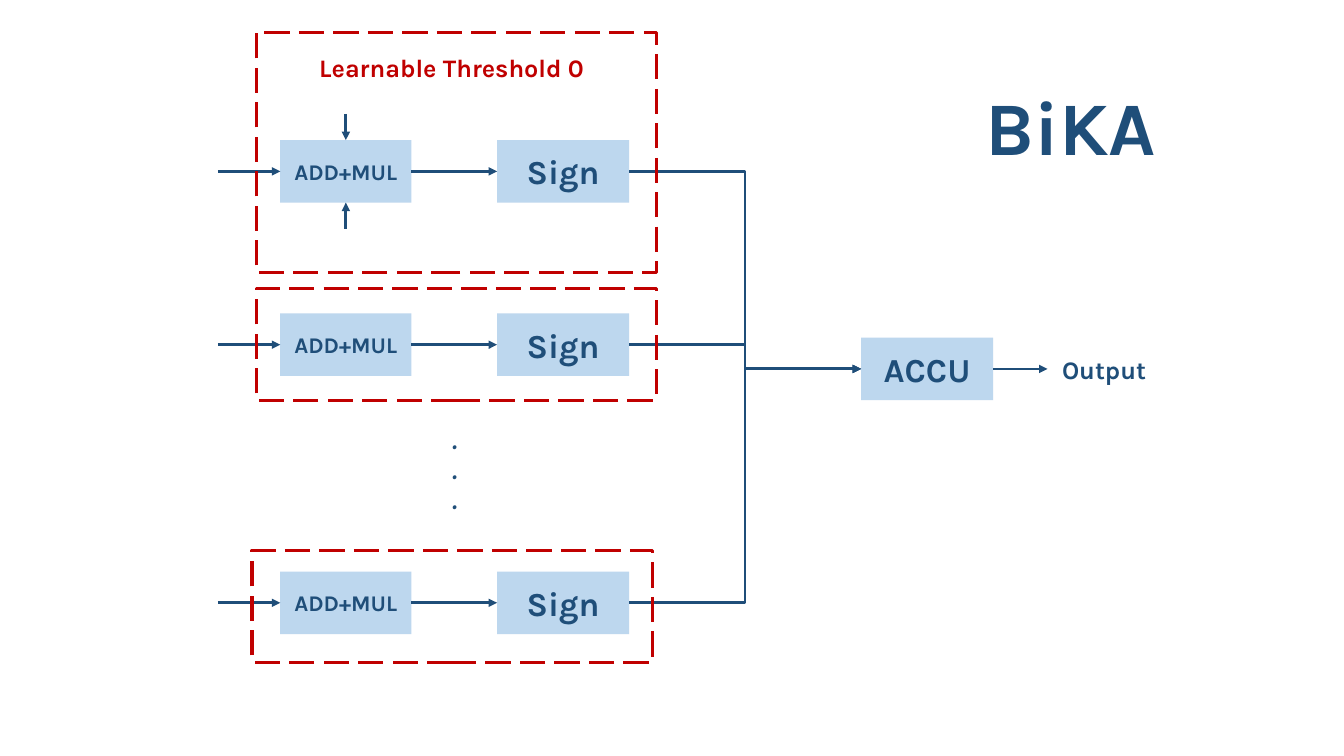
from lxml import etree
from pptx import Presentation
from pptx import util as u
from pptx.dml.color import RGBColor
from pptx.enum import dml, shapes, text
from pptx.oxml.ns import qn

EMU_PER_PX = 9144
NAVY, SKY, RED = "1F4E79", "BDD7EE", "C00000"
TOP, LEFT, BOTTOM, RIGHT = range(4)
NODE_HEIGHT = 62
ADD_LEFT, ADD_WIDTH = 278, 130
SIGN_LEFT, SIGN_WIDTH = 493, 131
LANE_TOPS = (139, 311, 567)
INPUT_LEFT = 216
FRAMES = ((254, 32, 397, 238), (254, 286, 397, 111), (250, 546, 397, 111))


def px(length):
    """Turn a length in px into EMU."""
    return u.Emu(length * EMU_PER_PX)


def color(value):
    """Turn a hex string into a colour."""
    return RGBColor.from_string(value)


def apply_format(target, values):
    """Set each named attribute on the target."""
    for name, value in values.items():
        setattr(target, name, value)


def write_text(shape, lines, size, ink=NAVY, italic=None):
    """Write centred bold lines into a shape."""
    frame = shape.text_frame
    apply_format(frame, {"word_wrap": True, "vertical_anchor": text.MSO_ANCHOR.MIDDLE})
    frame.text = "\n".join(lines)
    for paragraph in frame.paragraphs:
        paragraph.alignment = text.PP_ALIGN.CENTER
        font = paragraph.runs[0].font
        apply_format(font, {"name": "Karla", "size": u.Pt(size), "bold": True, "italic": italic})
        font.color.rgb = color(ink)


def add_label(slide, box, lines, size, **style):
    """Add a text box and return it."""
    shape = slide.shapes.add_textbox(*map(px, box))
    write_text(shape, lines, size, **style)
    return shape


def add_rectangle(slide, box):
    """Add a rectangle without a shadow."""
    shape = slide.shapes.add_shape(shapes.MSO_SHAPE.RECTANGLE, *map(px, box))
    shape.shadow.inherit = False
    return shape


def add_node(slide, left, top, width, label, size):
    """Add a filled block with its label."""
    shape = add_rectangle(slide, (left, top, width, NODE_HEIGHT))
    shape.fill.solid()
    shape.fill.fore_color.rgb = color(SKY)
    shape.line.fill.background()
    write_text(shape, [label], size)
    return shape


def add_frame(slide, box):
    """Add an unfilled red dashed frame."""
    shape = add_rectangle(slide, box)
    shape.fill.background()
    shape.line.color.rgb = color(RED)
    apply_format(shape.line, {"width": u.Pt(2.25), "dash_style": dml.MSO_LINE.LONG_DASH})


def add_arrow(slide, start, target, site, start_site=None, kind=shapes.MSO_CONNECTOR.STRAIGHT):
    """Add an arrow from a point, or a shape's side, to a shape's side."""
    origin = (0, 0) if start_site is not None else start
    arrow = slide.shapes.add_connector(kind, *map(px, origin * 2))
    if start_site is not None:
        arrow.begin_connect(start, start_site)
    arrow.end_connect(target, site)
    arrow.line.color.rgb = color(NAVY)
    arrow.line.width = u.Pt(2)
    etree.SubElement(arrow.line._get_or_add_ln(), qn("a:tailEnd"), type="triangle")
    etree.SubElement(arrow._element.spPr, qn("a:effectLst"))


def add_lane(slide, top, accumulator):
    """Add one input lane leading to the accumulator and return its first block."""
    adder = add_node(slide, ADD_LEFT, top, ADD_WIDTH, "ADD+MUL", 16)
    sign = add_node(slide, SIGN_LEFT, top, SIGN_WIDTH, "Sign", 24)
    add_arrow(slide, (INPUT_LEFT, top + NODE_HEIGHT // 2), adder, LEFT)
    add_arrow(slide, adder, sign, LEFT, RIGHT)
    add_arrow(slide, sign, accumulator, LEFT, RIGHT, shapes.MSO_CONNECTOR.ELBOW)
    return adder


def main():
    """Build the slide and save it."""
    presentation = Presentation()
    apply_format(presentation, {"slide_width": px(1333), "slide_height": px(750)})
    slide = presentation.slides.add_slide(presentation.slide_layouts[6])

    add_label(slide, (937, 75, 250, 99), ["BiKA"], 54)
    add_label(slide, (386, 414, 130, 103), ["."] * 3, 18, italic=True)
    output = add_label(slide, (1039, 335, 112, NODE_HEIGHT), ["Output"], 18)
    accumulator = add_node(slide, 854, 335, SIGN_WIDTH, "ACCU", 24)
    add_arrow(slide, accumulator, output, LEFT, RIGHT)

    adders = [add_lane(slide, top, accumulator) for top in LANE_TOPS]
    middle = ADD_LEFT + ADD_WIDTH // 2
    for y, site in ((113, TOP), (227, BOTTOM)):
        add_arrow(slide, (middle, y), adders[0], site)

    for box in FRAMES:
        add_frame(slide, box)
    add_label(slide, (251, 36, 394, NODE_HEIGHT), ["Learnable Threshold 0"], 18, ink=RED)
    presentation.save("out.pptx")


if __name__ == "__main__":
    main()
